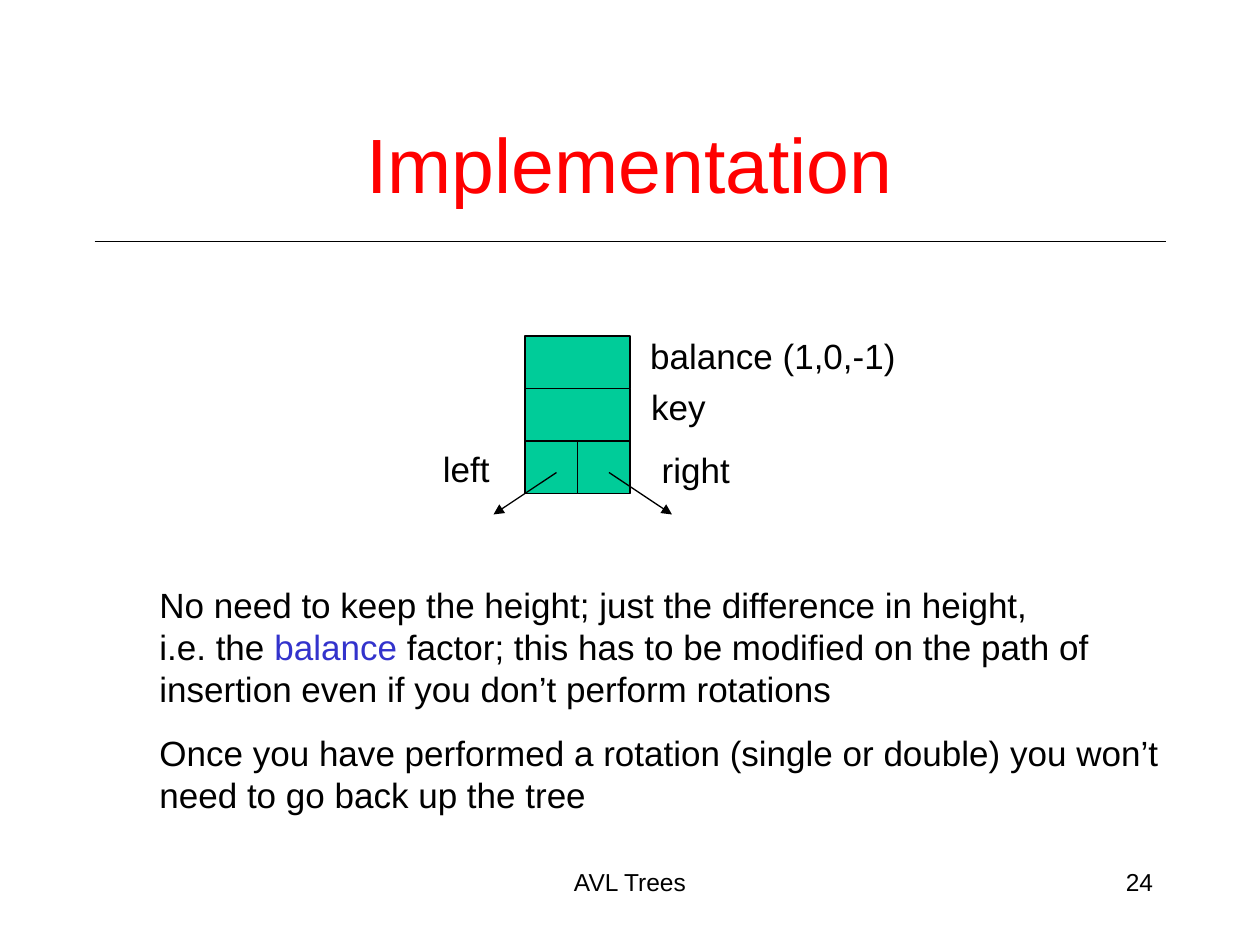
from lxml import etree
from pptx import Presentation
from pptx.dml.color import RGBColor
from pptx.enum import shapes as kinds, text as modes
from pptx.oxml import ns
from pptx.util import Pt

COLORS = {"ink": "000000", "title": "FF0000", "cell": "00CC99", "term": "3333CC"}
FONT = "Arial"
LEFT, CENTER, RIGHT = (modes.PP_ALIGN.LEFT, modes.PP_ALIGN.CENTER,
                       modes.PP_ALIGN.RIGHT)
NODE_X, NODE_Y, CELL = 300, 192, 30


def color(name):
    return RGBColor.from_string(COLORS[name])


def style(para, size, tint="ink", align=LEFT):
    para.alignment = align
    para.font.name = FONT
    para.font.size = Pt(size)
    para.font.color.rgb = color(tint)


def add_box(slide, left, top, width, height, wrap=True):
    box = slide.shapes.add_textbox(Pt(left), Pt(top), Pt(width), Pt(height))
    box.text_frame.word_wrap = wrap
    return box.text_frame


def add_text(slide, words, place, size, tint="ink", align=LEFT, wrap=True):
    frame = add_box(slide, *place, wrap=wrap)
    frame.text = words
    style(frame.paragraphs[0], size, tint, align)
    return frame


def add_cell(slide, left, top, width):
    cell = slide.shapes.add_shape(kinds.MSO_SHAPE.RECTANGLE, Pt(left), Pt(top),
                                  Pt(width), Pt(CELL))
    cell.shadow.inherit = False
    cell.fill.solid()
    cell.fill.fore_color.rgb = color("cell")
    cell.line.color.rgb = color("ink")
    cell.line.width = Pt(0.75)


def add_line(slide, start, end, arrow=False):
    line = slide.shapes.add_connector(kinds.MSO_CONNECTOR.STRAIGHT,
                                      *map(Pt, start + end))
    line.line.color.rgb = color("ink")
    line.line.width = Pt(0.75)
    if arrow:
        etree.SubElement(line.line._get_or_add_ln(), ns.qn("a:tailEnd"),
                         type="triangle")
    etree.SubElement(line._element.spPr, ns.qn("a:effectLst"))


def add_node(slide):
    """Draw the tree node: balance, key, and two child pointers."""
    low = NODE_Y + 2 * CELL
    for col in range(2):
        add_cell(slide, NODE_X + col * CELL, low, CELL)
    for row in (1, 0):
        add_cell(slide, NODE_X, NODE_Y + row * CELL, 2 * CELL)
    for start, end in ((318, 282), (348, 384)):
        add_line(slide, (start, 270), (end, 294), arrow=True)
    for words, left, top, width in (
        ("balance (1,0,-1)", 364.5, 187.5, 155),
        ("key", 365, 217, 45.5),
        ("right", 371, 253, 53.5),
        ("left", 246, 252, 41),
    ):
        add_text(slide, words, (left, top, width, 31.5), 20, wrap=False)


def add_notes(slide):
    """Write the two remarks below the node."""
    frame = add_box(slide, 84, 330, 594, 139.5)
    first = frame.paragraphs[0]
    first.add_run().text = "No need to keep the height; just the difference in height,"
    first.add_line_break()
    first.add_run().text = "i.e. the "
    term = first.add_run()
    term.text = "balance"
    term.font.color.rgb = color("term")
    first.add_run().text = (" factor; this has to be modified on the path of "
                            "insertion even if you don’t perform rotations")
    last = frame.add_paragraph()
    last.text = ("Once you have performed a rotation (single or double) "
                 "you won’t need to go back up the tree")
    last.space_before = Pt(12.5)
    for para in frame.paragraphs:
        style(para, 20)


def main():
    deck = Presentation()
    deck.slide_width, deck.slide_height = Pt(720), Pt(540)
    slide = deck.slides.add_slide(deck.slide_layouts[6])
    add_line(slide, (54, 138), (666, 138))
    add_text(slide, "AVL Trees", (246, 492, 228, 36), 14, align=CENTER)
    add_text(slide, "24", (516, 492, 150, 36), 14, align=RIGHT)
    title = add_text(slide, "Implementation", (54, 48, 612, 90), 44, "title", CENTER)
    title.vertical_anchor = modes.MSO_ANCHOR.MIDDLE
    add_node(slide)
    add_notes(slide)
    deck.save("out.pptx")


if __name__ == "__main__":
    main()
